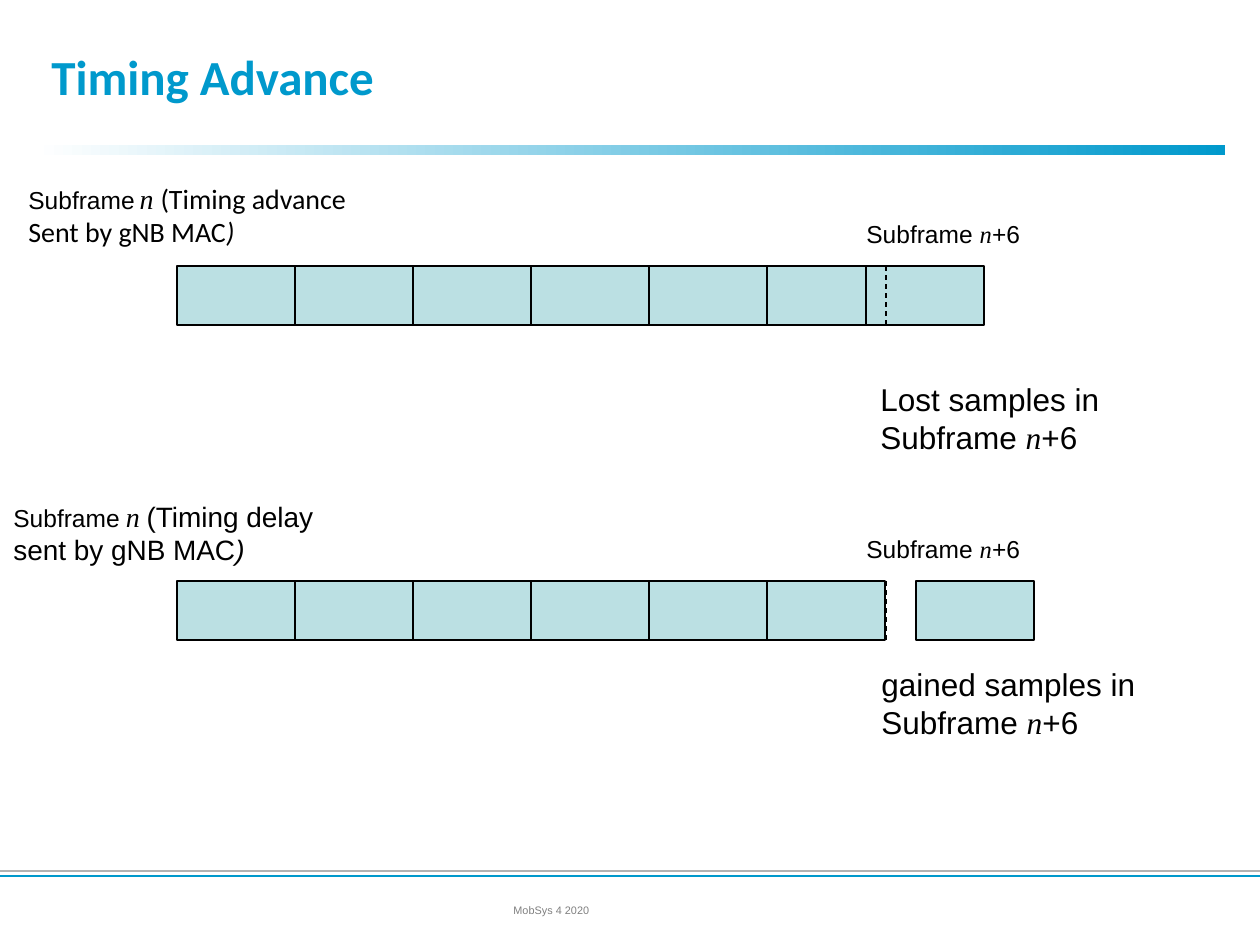
from lxml import etree
from pptx import Presentation
from pptx.dml.color import RGBColor
from pptx.enum.dml import MSO_LINE
from pptx.enum.shapes import MSO_CONNECTOR, MSO_SHAPE
from pptx.enum.text import MSO_ANCHOR, MSO_AUTO_SIZE
from pptx.oxml.ns import qn
from pptx.util import Emu, Pt

RECTANGLE = MSO_SHAPE.RECTANGLE
STRAIGHT = MSO_CONNECTOR.STRAIGHT
DASH = MSO_LINE.DASH
MIDDLE = MSO_ANCHOR.MIDDLE
GROW = MSO_AUTO_SIZE.SHAPE_TO_FIT_TEXT

COLOURS = {
    "accent": "0099CC",
    "subframe": "BBE0E3",
    "ink": "000000",
    "white": "FFFFFF",
    "rule": "B2B2B2",
    "footer": "808080",
}
EMU_PER_PX = 914400 / 126
PAGE_WIDTH, PAGE_HEIGHT = 1260, 945
SUBFRAME_WIDTH, SUBFRAME_HEIGHT = 118, 59
FIRST_LEFT, FULL_SUBFRAMES = 177, 6
MATH = {"name": "Times New Roman", "italic": True}
SUBFRAME_N6 = [("Subframe ", {}), ("n", MATH), ("+6", {})]


def px(length):
    return Emu(round(length * EMU_PER_PX))


def colour(name):
    return RGBColor.from_string(COLOURS[name])


def add_text(page, place, paragraphs, size, name="Arial", ink="ink", wrap=False):
    """Each paragraph is a list of (text, font settings) spans."""
    box = page.shapes.add_textbox(*map(px, place))
    frame = box.text_frame
    frame.word_wrap = wrap
    if not wrap:
        frame.auto_size = GROW
    for index, spans in enumerate(paragraphs):
        para = frame.paragraphs[0] if index == 0 else frame.add_paragraph()
        para.font.name = name
        para.font.size = Pt(size)
        para.font.color.rgb = colour(ink)
        for text, settings in spans:
            span = para.add_run()
            span.text = text
            for setting, value in settings.items():
                setattr(span.font, setting, value)
    return frame


def add_line(page, start, end, ink, width, dash=None):
    line = page.shapes.add_connector(STRAIGHT, *map(px, start + end))
    line.line.color.rgb = colour(ink)
    line.line.width = Pt(width)
    if dash:
        line.line.dash_style = dash
    etree.SubElement(line._element.spPr, qn("a:effectLst"))


def add_rectangle(page, place):
    box = page.shapes.add_shape(RECTANGLE, *map(px, place))
    box.shadow.inherit = False
    return box


def add_gradient_bar(page, place):
    bar = add_rectangle(page, place)
    bar.line.fill.background()
    bar.fill.gradient()
    bar.fill.gradient_angle = 0
    for stop, name, position in zip(bar.fill.gradient_stops, ("white", "accent"), (0, 1)):
        stop.color.rgb = colour(name)
        stop.position = position


def add_subframe_row(page, top, last_left):
    lefts = [FIRST_LEFT + SUBFRAME_WIDTH * i for i in range(FULL_SUBFRAMES)]
    for left in lefts + [last_left]:
        box = add_rectangle(page, (left, top, SUBFRAME_WIDTH, SUBFRAME_HEIGHT))
        box.fill.solid()
        box.fill.fore_color.rgb = colour("subframe")
        box.line.color.rgb = colour("ink")
        box.line.width = Pt(0.75)
    # Dashed mark where the last subframe would normally begin
    nominal = FIRST_LEFT + SUBFRAME_WIDTH * FULL_SUBFRAMES + 1
    add_line(page, (nominal, top), (nominal, top + SUBFRAME_HEIGHT), "ink", 0.75, DASH)
    add_text(page, (854, top - 53, 179, 43), [SUBFRAME_N6], 14)


def add_command_label(page, place, name, command, sender):
    first = [("Subframe", {"name": "Arial", "size": Pt(14)}), (" ", {"size": Pt(12)}),
             ("n ", MATH), (command, {})]
    second = [(sender, {}), (")", {"italic": True})]
    add_text(page, place, [first, second], 16, name)


def main():
    deck = Presentation()
    deck.slide_width, deck.slide_height = px(PAGE_WIDTH), px(PAGE_HEIGHT)
    page = deck.slides.add_slide(deck.slide_layouts[6])

    # Title, bar and footer
    add_gradient_bar(page, (35, 145, 1190, 10))
    for top, ink in ((871, "rule"), (876, "accent")):
        add_line(page, (0, top), (PAGE_WIDTH, top), ink, 1.5)
    title = add_text(page, (39, 16, 1186, 120), [[("Timing Advance", {})]],
                     28, "Calibri", "accent", wrap=True)
    title.vertical_anchor = MIDDLE
    title.paragraphs[0].font.bold = True
    footer = add_text(page, (501, 900, 149, 28), [[("MobSys 4 2020", {})]],
                      6.2, ink="footer", wrap=True)
    footer.paragraphs[0].line_spacing = 0.8

    # Timing advance: the last subframe starts early
    add_subframe_row(page, 266, 866)
    add_command_label(page, (16, 175, 381, 81), "Calibri",
                      "(Timing advance", "Sent by gNB MAC")
    add_text(page, (868, 374, 252, 88), [[("Lost samples in", {})], SUBFRAME_N6], 18)

    # Timing delay: the last subframe starts late
    add_subframe_row(page, 581, 916)
    add_command_label(page, (1, 493, 334, 113), "Arial",
                      "(Timing delay", "sent by gNB MAC")
    add_text(page, (869, 659, 287, 88), [[("gained samples in", {})], SUBFRAME_N6], 18)

    deck.save("out.pptx")


if __name__ == "__main__":
    main()
